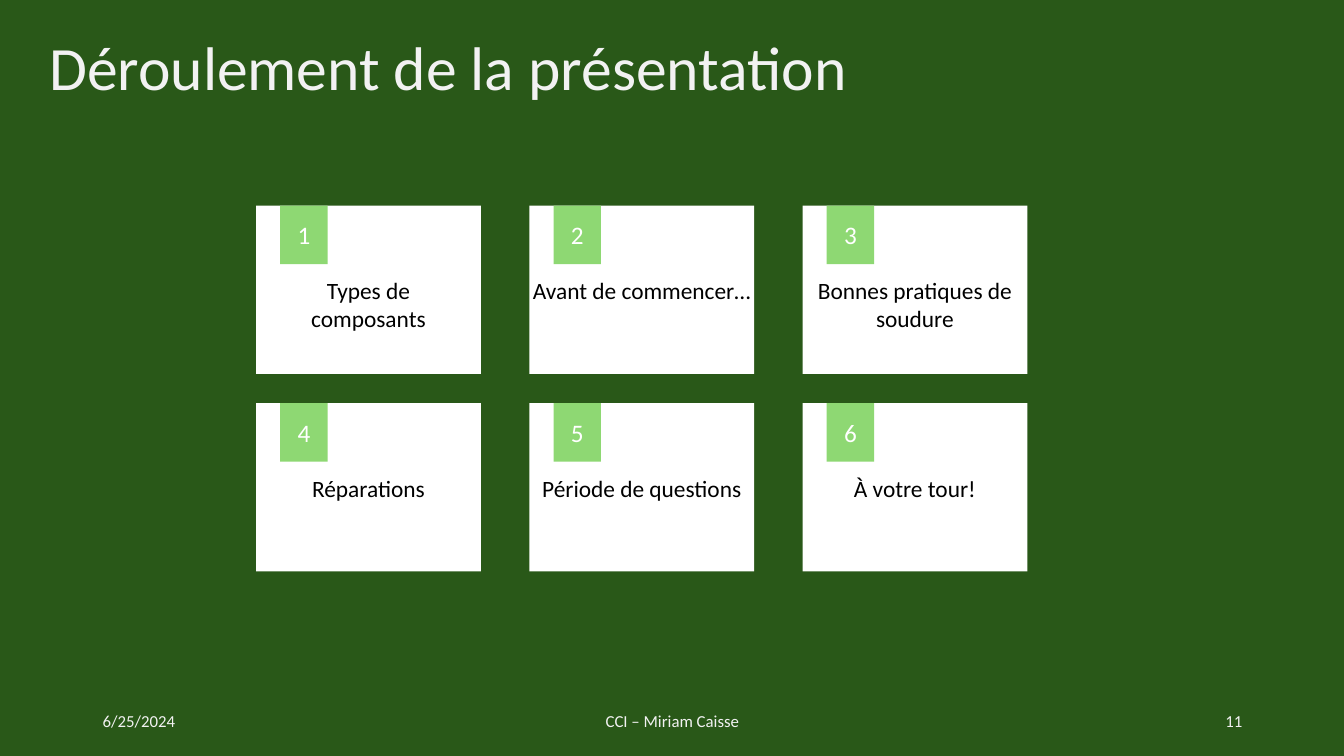
import pptx
import pptx.dml.color
import pptx.enum.shapes
import pptx.enum.text
import pptx.util
from pptx.util import Inches

COLORS = {
    "background": "295818",
    "card": "FFFFFF",
    "badge": "8ED873",
    "heading": "F2F2F2",
    "topic": "000000",
    "number": "FFFFFF",
}
FONT = "Calibri"
ALIGN = pptx.enum.text.PP_ALIGN
ANCHOR = pptx.enum.text.MSO_ANCHOR

TOPICS = [
    ["Types de", "composants"],
    ["Avant de commencer…"],
    ["Bonnes pratiques de soudure"],
    ["Réparations"],
    ["Période de questions"],
    ["À votre tour!"],
]
COLUMNS = 3
GRID_LEFT, GRID_TOP = 2.54, 2.04
COLUMN_STEP, ROW_STEP = 2.71, 1.96
CARD_WIDTH, CARD_HEIGHT = 2.23, 1.67


def rgb(name):
    """Return the named colour."""
    return pptx.dml.color.RGBColor.from_string(COLORS[name])


def write(frame, lines, size, color, alignment):
    """Write each line as one paragraph with a single styled run."""
    frame.word_wrap = True
    for index, line in enumerate(lines):
        paragraph = frame.add_paragraph() if index else frame.paragraphs[0]
        paragraph.alignment = alignment
        run = paragraph.add_run()
        run.text = line
        run.font.name = FONT
        run.font.size = pptx.util.Pt(size)
        run.font.color.rgb = rgb(color)


def add_text(slide, box, lines, size, color, alignment=ALIGN.LEFT, anchor=ANCHOR.MIDDLE):
    """Add a text box and return its frame."""
    frame = slide.shapes.add_textbox(*map(Inches, box)).text_frame
    frame.vertical_anchor = anchor
    write(frame, lines, size, color, alignment)
    return frame


def add_rectangle(slide, box, color):
    """Add a plain filled rectangle."""
    shape = slide.shapes.add_shape(
        pptx.enum.shapes.MSO_SHAPE.RECTANGLE, *map(Inches, box))
    shape.shadow.inherit = False
    shape.fill.solid()
    shape.fill.fore_color.rgb = rgb(color)
    shape.line.fill.background()
    return shape


def add_card(slide, number, lines):
    """Add a numbered topic card at its place in the grid."""
    row, column = divmod(number - 1, COLUMNS)
    left = GRID_LEFT + column * COLUMN_STEP
    top = GRID_TOP + row * ROW_STEP
    add_rectangle(slide, (left, top, CARD_WIDTH, CARD_HEIGHT), "card")
    frame = add_text(slide, (left, top + 0.7, CARD_WIDTH, 0.56), lines, 16.7,
                     "topic", ALIGN.CENTER, ANCHOR.TOP)
    frame.margin_left = frame.margin_right = 0
    frame.margin_top = frame.margin_bottom = 0
    badge = add_rectangle(slide, (left + 0.24, top, 0.47, 0.58), "badge")
    badge.text_frame.vertical_anchor = ANCHOR.MIDDLE
    write(badge.text_frame, [str(number)], 18, "number", ALIGN.CENTER)


def main():
    """Build and save the agenda slide."""
    presentation = pptx.Presentation()
    presentation.slide_width = Inches(13.33)
    presentation.slide_height = Inches(7.5)
    slide = presentation.slides.add_slide(presentation.slide_layouts[6])
    slide.background.fill.solid()
    slide.background.fill.fore_color.rgb = rgb("background")

    title = add_text(slide, (0.39, 0.22, 11.5, 0.96),
                     ["Déroulement de la présentation"], 44, "heading")
    title.paragraphs[0].line_spacing = 0.9

    for number, lines in enumerate(TOPICS, start=1):
        add_card(slide, number, lines)

    for left, width, text, alignment in [
        (0.92, 3, "6/25/2024", ALIGN.LEFT),
        (4.42, 4.5, "CCI – Miriam Caisse", ALIGN.CENTER),
        (9.42, 3, "11", ALIGN.RIGHT),
    ]:
        add_text(slide, (left, 6.95, width, 0.4), [text], 12, "heading", alignment)

    presentation.save("out.pptx")


if __name__ == "__main__":
    main()
